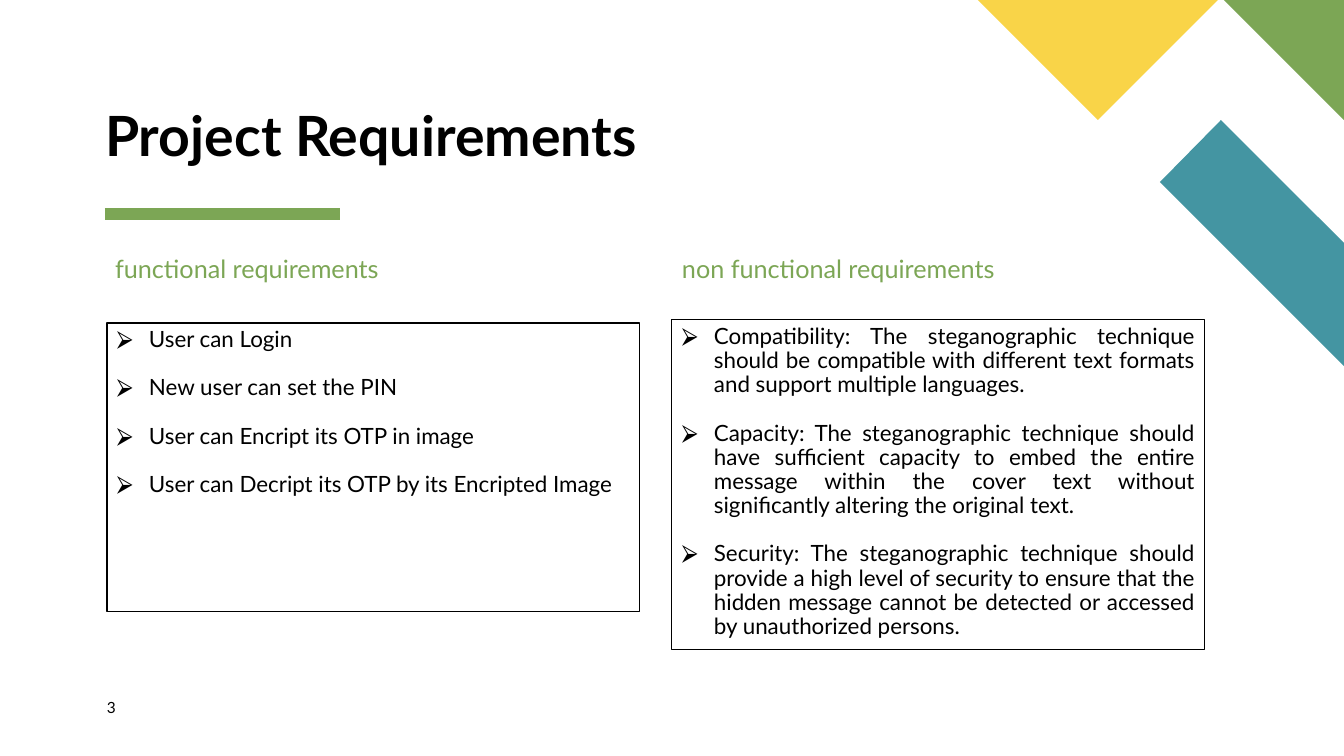
from lxml.etree import SubElement
from pptx import Presentation
from pptx.dml.color import RGBColor
from pptx.enum.shapes import MSO_CONNECTOR
from pptx.enum.text import MSO_ANCHOR, MSO_AUTO_SIZE, PP_ALIGN
from pptx.oxml.ns import qn
from pptx.util import Emu, Pt

PX = 914400 / 100.8
FONT = "Lato"
COLORS = {
    "green": "7CA655",
    "teal": "4495A2",
    "yellow": "F9D448",
    "black": "000000",
}
CORNER_SHAPES = [
    ("teal", [(1344, 366), (1344, 243), (1221, 120), (1160, 182)]),
    ("green", [(1344, 120), (1344, 0), (1224, 0)]),
    ("yellow", [(978, 0), (1098, 120), (1218, 0)]),
]
FUNCTIONAL = [
    "User can Login",
    "New user can set the PIN",
    "User can Encript its OTP in image",
    "User can Decript its OTP by its Encripted Image",
]
NON_FUNCTIONAL = [
    "Compatibility: The steganographic technique should be compatible with "
    "different text formats and support multiple languages.",
    "Capacity: The steganographic technique should have sufficient capacity to "
    "embed the entire message within the cover text without significantly "
    "altering the original text.",
    "Security: The steganographic technique should provide a high level of "
    "security to ensure that the hidden message cannot be detected or accessed "
    "by unauthorized persons.",
]


def px(n):
    """Turn pixels into EMU."""
    return Emu(round(n * PX))


def rgb(name):
    """Look up a named colour."""
    return RGBColor.from_string(COLORS[name])


def place(sp, left, top, width, height):
    """Move and size a shape."""
    sp.left, sp.top, sp.width, sp.height = map(px, (left, top, width, height))


def add_bullet(p, indent=32):
    """Give a paragraph a hanging arrowhead bullet."""
    pPr = p._p.get_or_add_pPr()
    pPr.set("marL", str(px(indent)))
    pPr.set("indent", str(-px(indent)))
    clr = SubElement(pPr, qn("a:buClr"))
    SubElement(clr, qn("a:srgbClr")).set("val", COLORS["black"])
    SubElement(pPr, qn("a:buChar")).set("char", "⮚")


def write(sp, lines, size, color="black", bold=False, align=PP_ALIGN.LEFT,
          anchor=MSO_ANCHOR.TOP, inset=(10, 5), spacing=0.9, gap=0,
          bullet=False):
    """Fill a shape with formatted paragraphs."""
    tf = sp.text_frame
    tf.word_wrap = True
    tf.auto_size = MSO_AUTO_SIZE.NONE
    tf.vertical_anchor = anchor
    tf.margin_left = tf.margin_right = px(inset[0])
    tf.margin_top = tf.margin_bottom = px(inset[1])
    for i, line in enumerate(lines):
        p = tf.add_paragraph() if i else tf.paragraphs[0]
        p.alignment = align
        p.line_spacing = spacing
        p.space_before = Pt(0)
        p.space_after = Pt(gap)
        if bullet:
            add_bullet(p)
        r = p.add_run()
        r.text = line
        r.font.name = FONT
        r.font.size = Pt(size)
        r.font.bold = bold
        r.font.color.rgb = rgb(color)


def add_corner_shape(slide, color, points):
    """Draw a filled polygon without outline."""
    builder = slide.shapes.build_freeform(*points[0], scale=PX)
    builder.add_line_segments(points[1:], close=True)
    sp = builder.convert_to_shape()
    sp.shadow.inherit = False
    sp.fill.solid()
    sp.fill.fore_color.rgb = rgb(color)
    sp.line.fill.background()


def add_rule(slide, left, right, y):
    """Draw the thick rule under the title."""
    line = slide.shapes.add_connector(
        MSO_CONNECTOR.STRAIGHT, px(left), px(y), px(right), px(y))
    line.line.color.rgb = rgb("green")
    line.line.width = Pt(8)
    SubElement(line._element.spPr, qn("a:effectLst"))


def fill_heading(sp, text, box):
    """Set a column heading."""
    place(sp, *box)
    write(sp, [text], 18, color="green")


def fill_list(sp, items, box, align=PP_ALIGN.LEFT):
    """Set a framed bullet list."""
    place(sp, *box)
    sp.line.color.rgb = rgb("black")
    sp.line.width = Pt(0.75)
    write(sp, items, 16, align=align, gap=17.3, bullet=True)


def main():
    """Build and save the slide."""
    prs = Presentation()
    prs.slide_width, prs.slide_height = px(1344), px(756)
    slide = prs.slides.add_slide(prs.slide_layouts.get_by_name("Comparison"))
    title, left_head, left_list, right_head, right_list = slide.placeholders

    for color, points in CORNER_SHAPES:
        add_corner_shape(slide, color, points)
    add_rule(slide, 105, 340, 214)

    place(title, 105, 121, 637, 47)
    write(title, ["Project Requirements"], 39.6, bold=True,
          anchor=MSO_ANCHOR.BOTTOM, inset=(0, 0))

    fill_heading(left_head, "functional requirements", (105, 252, 533, 35))
    fill_list(left_list, FUNCTIONAL, (107, 323, 533, 289))
    fill_heading(right_head, "non functional requirements", (672, 252, 566, 35))
    fill_list(right_list, NON_FUNCTIONAL, (672, 320, 533, 330),
              align=PP_ALIGN.JUSTIFY)

    number = slide.shapes.add_textbox(px(107), px(698), px(57), px(27))
    write(number, ["3"], 11, inset=(0, 0), spacing=1.0)
    prs.save("out.pptx")


if __name__ == "__main__":
    main()
